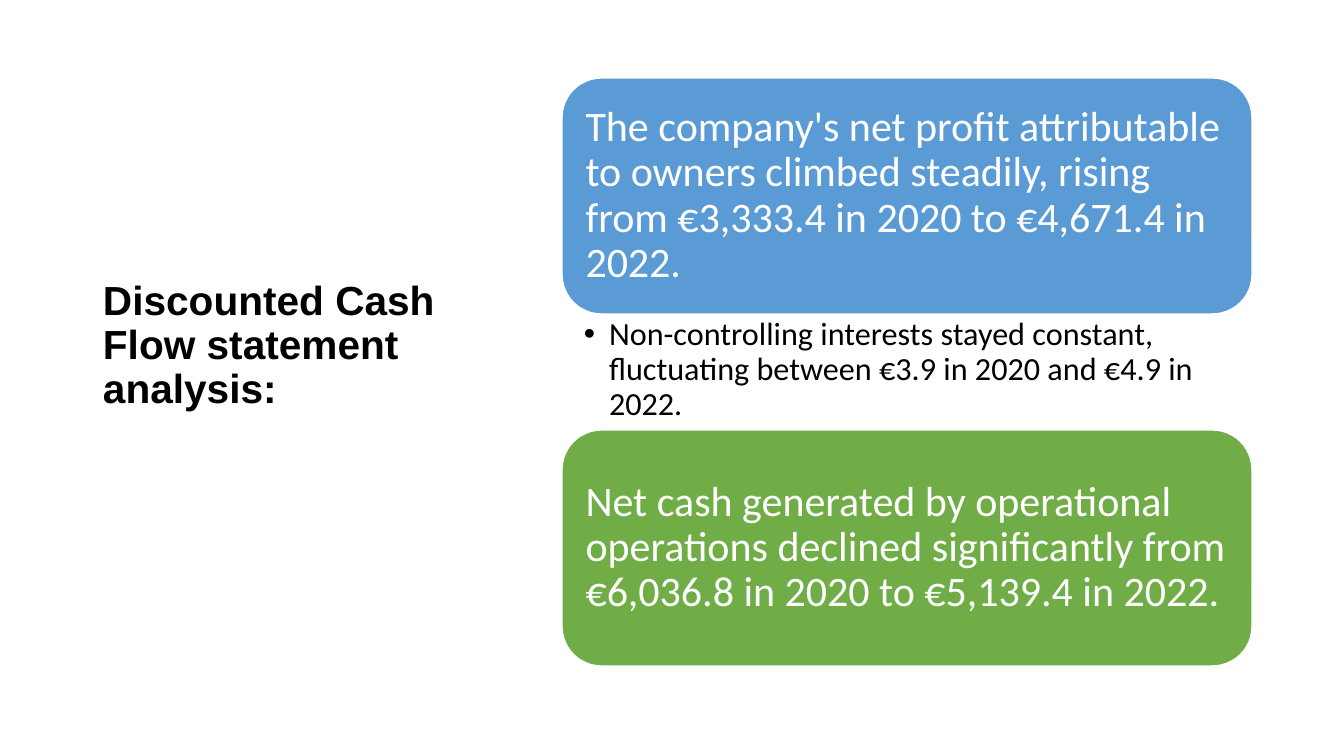
from lxml.etree import SubElement
from pptx import Presentation
from pptx.dml.color import RGBColor
from pptx.enum.shapes import MSO_SHAPE as Preset
from pptx.enum.text import MSO_ANCHOR as Anchor, MSO_AUTO_SIZE as AutoSize, PP_ALIGN as Align
from pptx.oxml.ns import qn
from pptx.util import Pt

PX = 9144000 / 1008  # EMU per px, 100.8 px to the inch
BLACK = RGBColor(0x00, 0x00, 0x00)
WHITE = RGBColor(0xFF, 0xFF, 0xFF)
BLUE = RGBColor(0x5B, 0x9B, 0xD5)
GREEN = RGBColor(0x70, 0xAD, 0x47)

HEADING = "Discounted Cash Flow statement analysis:"
PROFIT = ("The company's net profit attributable to owners climbed steadily, "
          "rising from €3,333.4 in 2020 to €4,671.4 in 2022.")
INTERESTS = ("Non-controlling interests stayed constant, fluctuating between "
             "€3.9 in 2020 and €4.9 in 2022.")
CASH = ("Net cash generated by operational operations declined significantly "
        "from €6,036.8 in 2020 to €5,139.4 in 2022.")

HEADING_FONT = {"name": "Arial", "size": Pt(29), "bold": True}
CARD_FONT = {"name": "Calibri", "size": Pt(30)}
DETAIL_FONT = {"name": "Calibri", "size": Pt(23)}


def px(length):
    return round(length * PX)


def set_all(target, values):
    for key, value in values.items():
        setattr(target, key, value)


def place(shape, left, top, width, height):
    set_all(shape, {"left": px(left), "top": px(top),
                    "width": px(width), "height": px(height)})


def write(shape, text, font, color, anchor, margins):
    """Fill a shape with one left-aligned paragraph; margins are left, top, right, bottom."""
    frame = shape.text_frame
    sides = ("margin_left", "margin_top", "margin_right", "margin_bottom")
    set_all(frame, {"word_wrap": True, "auto_size": AutoSize.NONE, "vertical_anchor": anchor})
    set_all(frame, dict(zip(sides, map(px, margins))))
    paragraph = frame.paragraphs[0]
    set_all(paragraph, {"alignment": Align.LEFT, "line_spacing": 0.9, "space_before": Pt(0)})
    run = paragraph.add_run()
    run.text = text
    set_all(run.font, font)
    run.font.color.rgb = color
    return paragraph


def add_heading(slide, left, top, width, height):
    heading = slide.shapes.title
    place(heading, left, top, width, height)
    write(heading, HEADING, HEADING_FONT, BLACK, Anchor.MIDDLE, (10, 5, 10, 5))


def add_card(slide, text, color, left, top, width, height):
    card = slide.shapes.add_shape(Preset.ROUNDED_RECTANGLE, 0, 0, 0, 0)
    place(card, left, top, width, height)
    card.shadow.inherit = False
    card.fill.solid()
    card.fill.fore_color.rgb = color
    card.line.color.rgb = WHITE
    card.line.width = Pt(1)
    write(card, text, CARD_FONT, WHITE, Anchor.MIDDLE, (12, 12, 12, 12))


def add_detail(slide, left, top, width, height):
    detail = slide.placeholders[1]
    place(detail, left, top, width, height)
    paragraph = write(detail, INTERESTS, DETAIL_FONT, BLACK, Anchor.TOP, (22, 4, 23, 4))
    paragraph.level = 1
    bullet = paragraph._p.get_or_add_pPr()
    bullet.set("marL", str(px(25)))
    bullet.set("indent", str(px(-25)))
    SubElement(bullet, qn("a:buFont")).set("typeface", "Arial")
    SubElement(bullet, qn("a:buChar")).set("char", "•")


def add_findings(slide, left, top, width, height):
    """Two equal cards with the detail between them."""
    card_height = 236
    add_card(slide, PROFIT, BLUE, left, top, width, card_height)
    add_detail(slide, left, top + card_height, width, height - 2 * card_height)
    add_card(slide, CASH, GREEN, left, top + height - card_height, width, card_height)


def main():
    deck = Presentation()
    set_all(deck, {"slide_width": px(1344), "slide_height": px(756)})
    slide = deck.slides.add_slide(deck.slide_layouts[1])
    add_heading(slide, 93, 61, 372, 570)
    add_findings(slide, 562, 78, 690, 588)
    deck.save("out.pptx")


if __name__ == "__main__":
    main()
